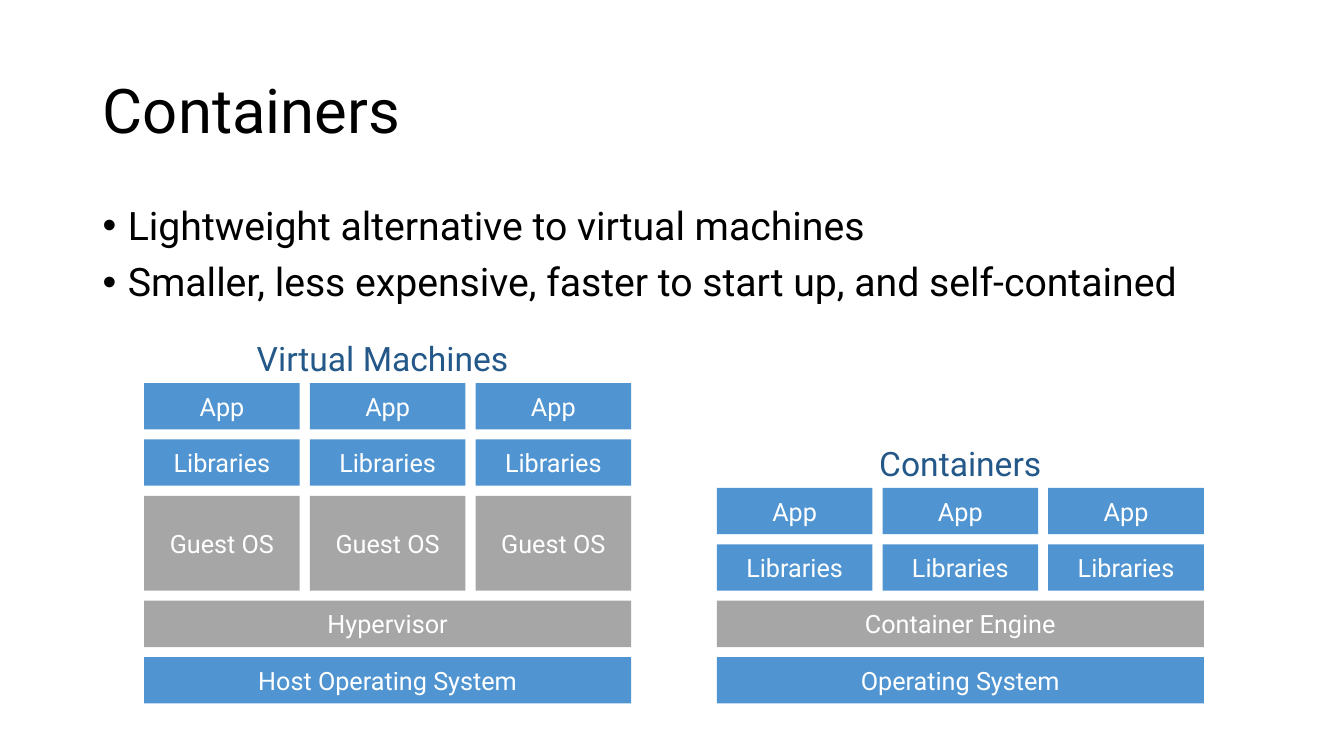
from pptx import Presentation
from pptx.dml.color import RGBColor
from pptx.enum import shapes, text
from pptx.oxml import parse_xml
from pptx.oxml.ns import nsdecls
from pptx.util import Inches, Pt

BLACK = RGBColor(0x00, 0x00, 0x00)
WHITE = RGBColor(0xFF, 0xFF, 0xFF)
BLUE = RGBColor(0x50, 0x95, 0xD1)
GRAY = RGBColor(0xA6, 0xA6, 0xA6)
NAVY = RGBColor(0x23, 0x58, 0x88)

STACK_BOTTOM = 6.98
STACK_WIDTH = 4.83
LAYER_HEIGHT = 0.46
GUEST_HEIGHT = 0.94
GAP = 0.1


class Deck:
    font = "Roboto"

    def __init__(self, prs):
        self.s = prs.slides.add_slide(prs.slide_layouts[5])

    def style(self, p, size, color, align):
        p.font.name = self.font
        p.font.size = Pt(size)
        p.font.color.rgb = color
        p.alignment = align

    def title(self, words, left, top, width, height):
        sp = self.s.shapes.title
        sp.left, sp.top = Inches(left), Inches(top)
        sp.width, sp.height = Inches(width), Inches(height)
        tf = sp.text_frame
        tf.text = words
        tf.auto_size = text.MSO_AUTO_SIZE.NONE
        tf.vertical_anchor = text.MSO_ANCHOR.MIDDLE
        p = tf.paragraphs[0]
        self.style(p, 44, BLACK, text.PP_ALIGN.LEFT)
        p.line_spacing = 0.9

    def text_box(self, words, left, top, width, height, size, color, align):
        sp = self.s.shapes.add_textbox(
            Inches(left), Inches(top), Inches(width), Inches(height))
        tf = sp.text_frame
        tf.word_wrap = True
        tf.text = words
        for p in tf.paragraphs:
            self.style(p, size, color, align)
        return tf

    def bullets(self, items, left, top, width, height):
        tf = self.text_box("\n".join(items), left, top, width, height,
                           28, BLACK, text.PP_ALIGN.LEFT)
        for p in tf.paragraphs:
            p.line_spacing = 0.9
            p.space_before = Pt(10)
            pPr = p._p.get_or_add_pPr()
            pPr.set("marL", str(Inches(0.25)))
            pPr.set("indent", str(-Inches(0.25)))
            for tag in ('buFont {} typeface="Arial"', 'buChar {} char="•"'):
                bullet = parse_xml(f"<a:{tag.format(nsdecls('a'))}/>")
                pPr.insert_element_before(bullet, "a:tabLst", "a:defRPr")

    def block(self, words, left, top, width, height, fill):
        sp = self.s.shapes.add_shape(
            shapes.MSO_SHAPE.RECTANGLE,
            Inches(left), Inches(top), Inches(width), Inches(height))
        sp.shadow.inherit = False
        sp.fill.solid()
        sp.fill.fore_color.rgb = fill
        sp.line.fill.background()
        tf = sp.text_frame
        tf.text = words
        tf.vertical_anchor = text.MSO_ANCHOR.MIDDLE
        self.style(tf.paragraphs[0], 18, WHITE, text.PP_ALIGN.CENTER)

    def stack(self, heading, heading_left, left, layers):
        """Draw layers from the bottom up, then the heading above them."""
        top = STACK_BOTTOM + GAP
        for words, columns, height, fill in layers:
            top -= height + GAP
            width = (STACK_WIDTH - (columns - 1) * GAP) / columns
            for col in range(columns):
                self.block(words, left + col * (width + GAP), top,
                           width, height, fill)
        self.text_box(heading, heading_left, top - 0.5, 4.93, 0.5,
                      24, NAVY, text.PP_ALIGN.CENTER)


def main():
    prs = Presentation()
    prs.slide_width, prs.slide_height = Inches(13.33), Inches(7.5)
    deck = Deck(prs)
    deck.title("Containers", 0.92, 0.4, 11.5, 1.45)
    deck.bullets([
        "Lightweight alternative to virtual machines",
        "Smaller, less expensive, faster to start up, and self-contained",
    ], 0.92, 2, 11.5, 4.76)

    app_layers = [("Libraries", 3, LAYER_HEIGHT, BLUE),
                  ("App", 3, LAYER_HEIGHT, BLUE)]
    deck.stack("Virtual Machines", 1.33, 1.43, [
        ("Host Operating System", 1, LAYER_HEIGHT, BLUE),
        ("Hypervisor", 1, LAYER_HEIGHT, GRAY),
        ("Guest OS", 3, GUEST_HEIGHT, GRAY),
        *app_layers,
    ])
    deck.stack("Containers", 7.06, 7.11, [
        ("Operating System", 1, LAYER_HEIGHT, BLUE),
        ("Container Engine", 1, LAYER_HEIGHT, GRAY),
        *app_layers,
    ])
    prs.save("out.pptx")


if __name__ == "__main__":
    main()
